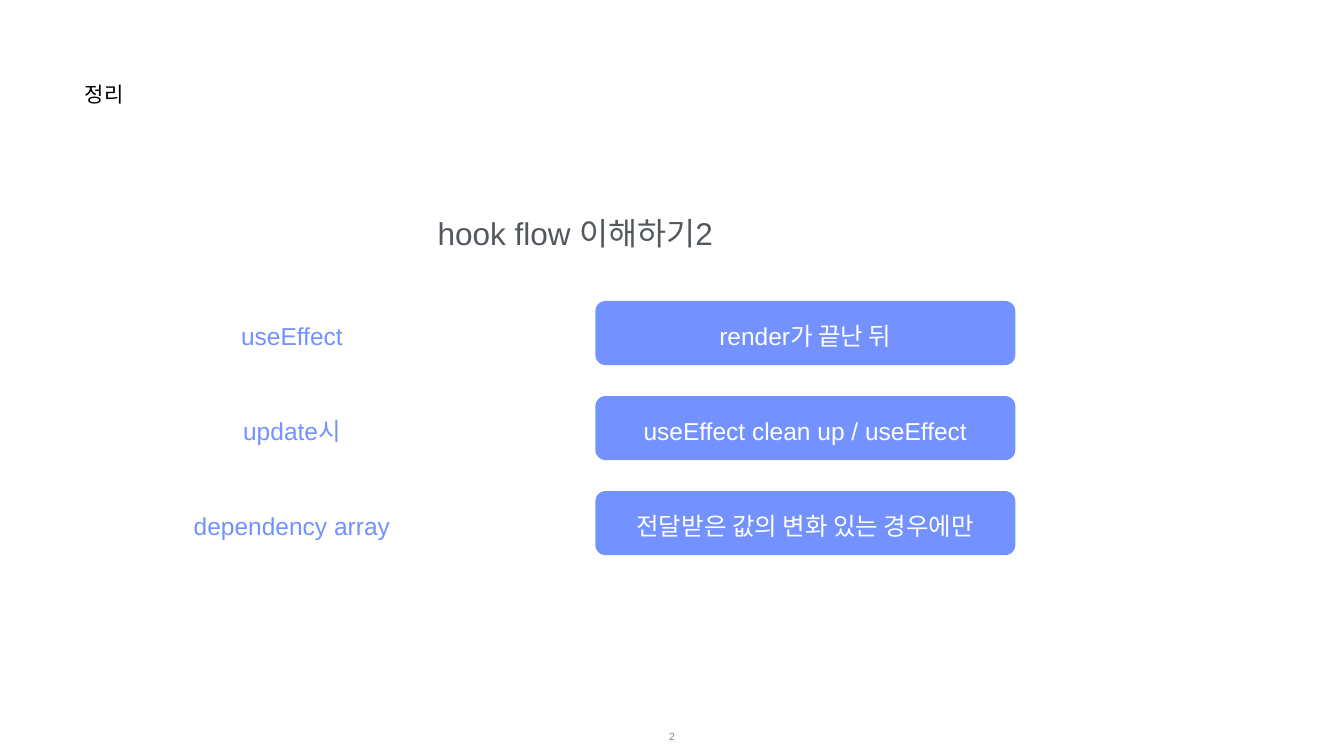
from pptx import Presentation
from pptx.dml.color import RGBColor
from pptx.enum import shapes, text
from pptx.util import Cm, Pt

BLUE = "7391FF"
WHITE = "FFFFFF"
ROWS = [
    ("useEffect", "render가 끝난 뒤"),
    ("update시", "useEffect clean up / useEffect"),
    ("dependency array", "전달받은 값의 변화 있는 경우에만"),
]


def color(code):
    return RGBColor.from_string(code)


def write(shape, words, size, code, align=text.PP_ALIGN.CENTER,
          anchor=text.MSO_ANCHOR.MIDDLE, top=0.03):
    frame = shape.text_frame
    frame.word_wrap = True
    frame.vertical_anchor = anchor
    frame.margin_left = frame.margin_right = frame.margin_bottom = Cm(0.03)
    frame.margin_top = Cm(top)
    para = frame.paragraphs[0]
    para.alignment = align
    run = para.add_run()
    run.text = words
    run.font.name = "Arial"
    run.font.size = Pt(size)
    run.font.color.rgb = color(code)


def label(slide, box, words, size, code, **style):
    shape = slide.shapes.add_textbox(*map(Cm, box))
    write(shape, words, size, code, **style)


def card(slide, box, words):
    shape = slide.shapes.add_shape(
        shapes.MSO_SHAPE.ROUNDED_RECTANGLE, *map(Cm, box))
    shape.adjustments[0] = 0.16
    shape.shadow.inherit = False
    shape.fill.solid()
    shape.fill.fore_color.rgb = color(BLUE)
    shape.line.fill.background()
    write(shape, words, 35, WHITE, top=0.28)


def main():
    deck = Presentation()
    deck.slide_width, deck.slide_height = Cm(67.72), Cm(38.1)
    slide = deck.slides.add_slide(deck.slide_layouts[6])

    label(slide, (4.24, 4.06, 12.34, 3), "정리", 30, "000000",
          align=text.PP_ALIGN.LEFT, anchor=text.MSO_ANCHOR.TOP)
    label(slide, (6.71, 10.77, 44.55, 2), "hook flow 이해하기2", 45, "53585F",
          anchor=text.MSO_ANCHOR.TOP)

    for i, (name, note) in enumerate(ROWS):
        top = 15.17 + 4.79 * i
        label(slide, (6.77, top + 0.95, 15.88, 1.57), name, 35, BLUE)
        card(slide, (30, top, 21.16, 3.23), note)

    label(slide, (26.24, 36.09, 15.24, 2), "2", 15, "888888")
    deck.save("out.pptx")


if __name__ == "__main__":
    main()
